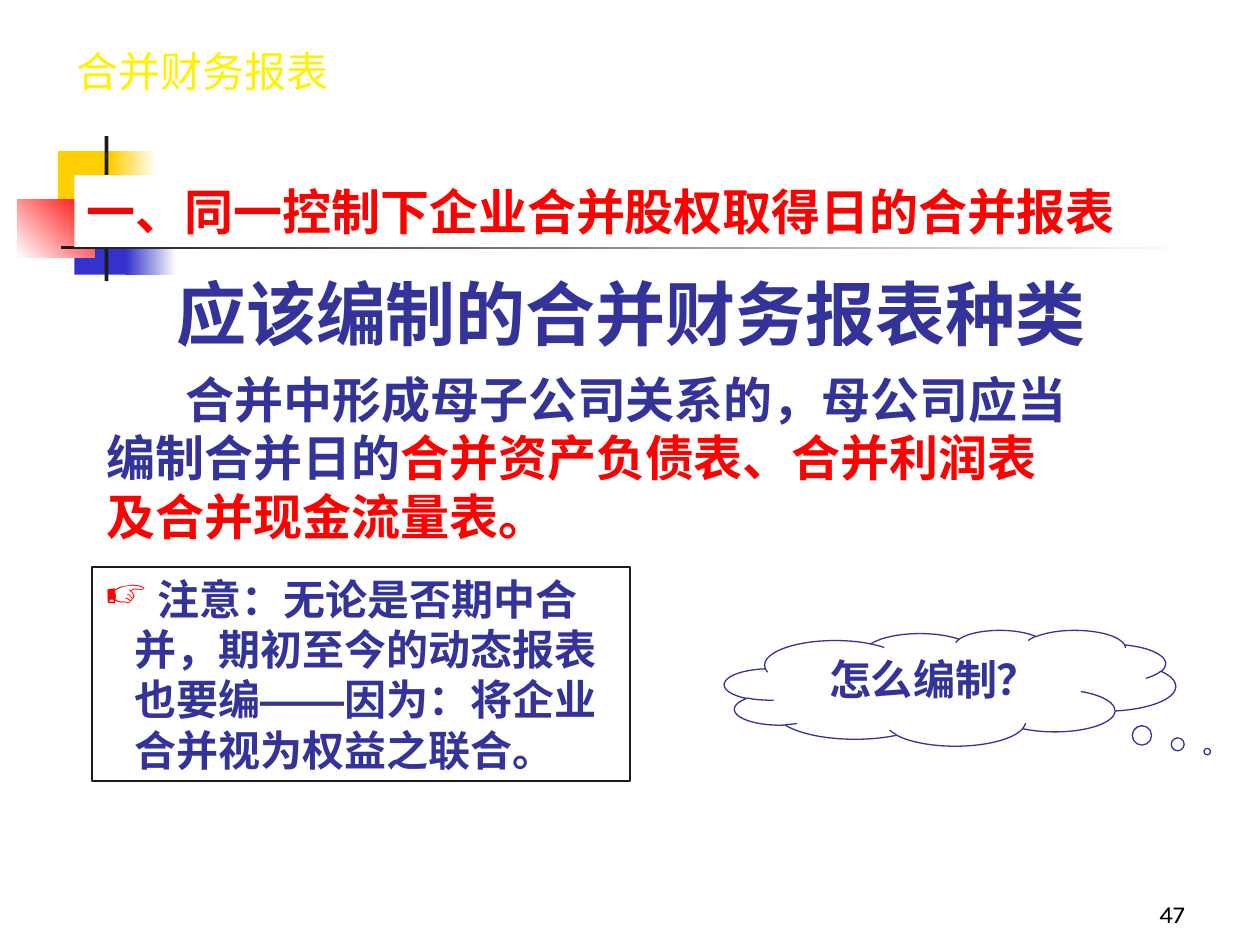
import pptx
import pptx.dml.color
import pptx.enum.shapes
import pptx.enum.text
import pptx.oxml.ns
import pptx.util
from lxml import etree

Pt = pptx.util.Pt
SHAPE = pptx.enum.shapes.MSO_SHAPE
ALIGN = pptx.enum.text.PP_ALIGN
ANCHOR = pptx.enum.text.MSO_ANCHOR

WHITE, RED, NAVY, BLACK = "FFFFFF", "FF0000", "333399", "1C1C1C"
YELLOW, BLUE = "FFCF01", "3333CC"

# Corner ornament: place, then one colour, or gradient start, end and angle
ORNAMENT = [
    ((33.1, 86.4, 34.6, 37.4), (YELLOW,)),
    ((63.4, 86.4, 25.9, 37.4), (WHITE, YELLOW, 180)),
    ((42.5, 119.5, 33.1, 37.4), (BLUE,)),
    ((72, 119.5, 28.8, 37.4), (WHITE, BLUE, 180)),
    ((10.1, 113.8, 43.9, 33.1), (RED, WHITE, 225)),
    ((59.8, 77.8, 2.2, 82.8), (BLACK,)),
    ((34.6, 140.4, 648, 2.2), (WHITE, BLACK, 180)),
]

# Text parts, from back to front
TEXTS = [
    dict(place=(36.7, 20.2, 160.6, 30.2), runs=[("合并财务报表", "FFF200")],
         size=24, face="Noto Sans CJK SC", bold=False, wrap=False, pitch=1.3),
    dict(place=(93.6, 151.2, 538.6, 55.4),
         runs=[("应该编制的合并财务报表种类", NAVY)], size=40),
    dict(place=(54, 207.4, 571, 108),
         runs=[("合并中形成母子公司关系的，母公司应当编制合并日的", NAVY),
               ("合并资产负债表、合并利润表及合并现金流量表。", RED)],
         size=28, indent=45),
    dict(place=(414, 360, 257.8, 66.2), runs=[("怎么编制？", NAVY)], size=24,
         shape=SHAPE.CLOUD_CALLOUT, adjust=(0.57, 0.55), fill=WHITE, line=NAVY,
         align=ALIGN.CENTER),
    dict(place=(52.6, 324, 307.4, 122.4),
         runs=[(" 注意：无论是否期中合并，期初至今的动态报表也要编——"
                "因为：将企业合并视为权益之联合。", NAVY)],
         size=24, shape=SHAPE.RECTANGLE, line=BLACK, margin=17, indent=-17,
         bullet=("☞", RED)),
    dict(place=(42.5, 100.1, 677.5, 41),
         runs=[("一、同一控制下企业合并股权取得日的合并报表", RED)],
         size=28, shape=SHAPE.RECTANGLE, fill=WHITE, anchor=ANCHOR.MIDDLE),
    dict(place=(534.2, 498.2, 149.8, 36), runs=[("47", "000000")], size=14,
         face="Karla", bold=False, anchor=ANCHOR.BOTTOM, align=ALIGN.RIGHT),
]


def rgb(code):
    return pptx.dml.color.RGBColor.from_string(code)


def add_tag(parent, tag, **attributes):
    return etree.SubElement(parent, pptx.oxml.ns.qn(tag), attributes)


def paint(fill, colours):
    if len(colours) == 1:
        fill.solid()
        fill.fore_color.rgb = rgb(colours[0])
        return
    start, end, angle = colours
    fill.gradient()
    fill.gradient_angle = angle
    for stop, code in zip(fill.gradient_stops, (start, end)):
        stop.color.rgb = rgb(code)


def add_box(shapes, kind, place, colours=(), line=None):
    box = shapes.add_shape(kind, *map(Pt, place))
    box.shadow.inherit = False
    if colours:
        paint(box.fill, colours)
    else:
        box.fill.background()
    if line:
        box.line.color.rgb = rgb(line)
        box.line.width = Pt(0.75)
    else:
        box.line.fill.background()
    return box


def add_text(shapes, part):
    place, size = part["place"], part["size"]
    if "shape" in part:
        colours = (part["fill"],) if "fill" in part else ()
        box = add_box(shapes, part["shape"], place, colours, part.get("line"))
        for index, value in enumerate(part.get("adjust", ())):
            box.adjustments[index] = value
    else:
        box = shapes.add_textbox(*map(Pt, place))
    frame = box.text_frame
    frame_format = {
        "word_wrap": part.get("wrap", True),
        "vertical_anchor": part.get("anchor", ANCHOR.TOP),
        "margin_left": Pt(7.2), "margin_right": Pt(7.2),
        "margin_top": Pt(3.6), "margin_bottom": Pt(3.6),
    }
    for name, value in frame_format.items():
        setattr(frame, name, value)

    paragraph = frame.paragraphs[0]
    paragraph.alignment = part.get("align", ALIGN.LEFT)
    paragraph.line_spacing = Pt(round(size * part.get("pitch", 1.2), 1))
    properties = paragraph._p.get_or_add_pPr()
    properties.set("marL", str(Pt(part.get("margin", 0))))
    properties.set("indent", str(Pt(part.get("indent", 0))))
    if "bullet" in part:
        mark, code = part["bullet"]
        add_tag(add_tag(properties, "a:buClr"), "a:srgbClr", val=code)
        add_tag(properties, "a:buChar", char=mark)

    face = part.get("face", "Arial")
    font_format = {"size": Pt(size), "bold": part.get("bold", True), "name": face}
    for words, code in part["runs"]:
        run = paragraph.add_run()
        run.text = words
        for name, value in font_format.items():
            setattr(run.font, name, value)
        run.font.color.rgb = rgb(code)
        add_tag(run._r.get_or_add_rPr(), "a:ea", typeface=face)


def main():
    deck = pptx.Presentation()
    deck.slide_width, deck.slide_height = Pt(720), Pt(540)
    shapes = deck.slides.add_slide(deck.slide_layouts[6]).shapes
    for place, colours in ORNAMENT:
        add_box(shapes, SHAPE.RECTANGLE, place, colours)
    for part in TEXTS:
        add_text(shapes, part)
    deck.save("out.pptx")


if __name__ == "__main__":
    main()
